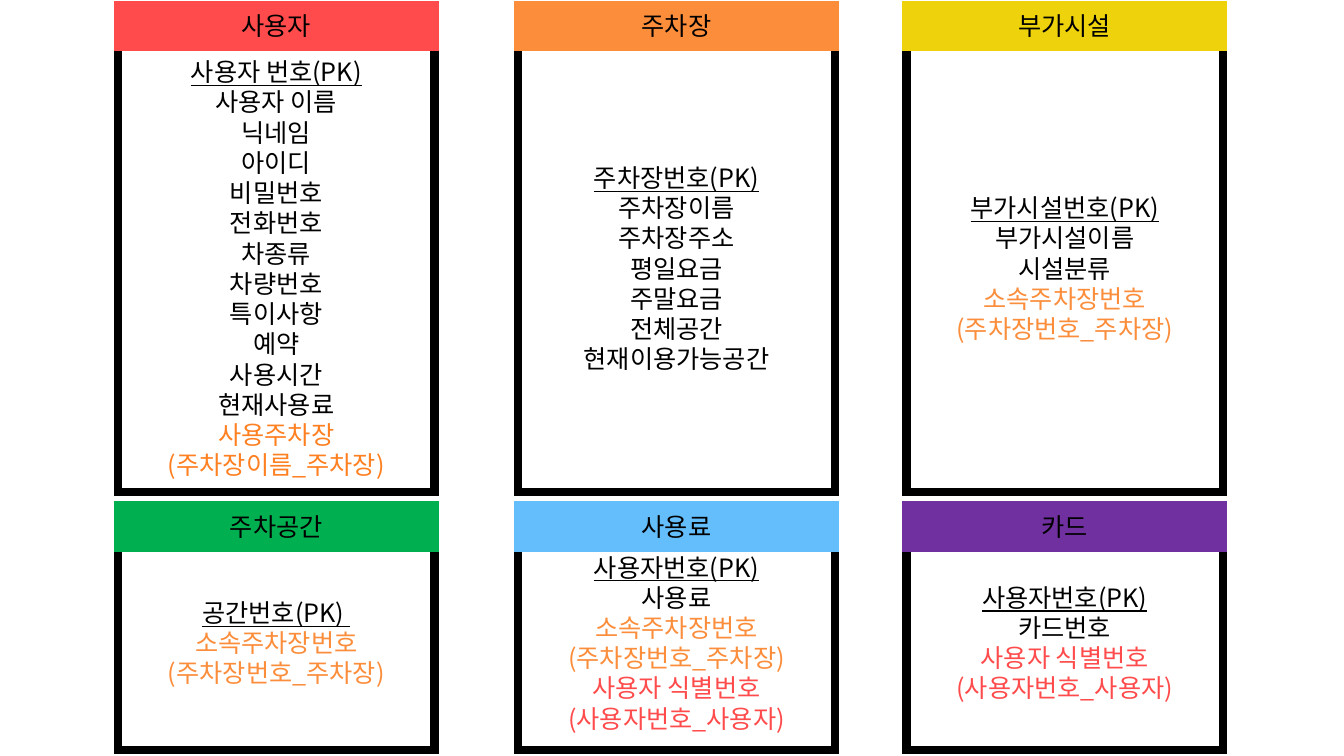
"""Build a slide of six entity tables for a parking database."""
from lxml import etree
from pptx import Presentation
from pptx.dml.color import RGBColor
from pptx.enum.shapes import MSO_SHAPE
from pptx.enum.text import MSO_ANCHOR, PP_ALIGN
from pptx.oxml.ns import qn
from pptx.util import Inches, Pt

RECT = MSO_SHAPE.RECTANGLE
MIDDLE = MSO_ANCHOR.MIDDLE
CENTER = PP_ALIGN.CENTER

BLACK = RGBColor(0x00, 0x00, 0x00)
RED = RGBColor(0xFF, 0x4B, 0x4B)
ORANGE = RGBColor(0xFB, 0x8D, 0x3B)
DEEP_ORANGE = RGBColor(0xFF, 0x80, 0x21)
YELLOW = RGBColor(0xEE, 0xD3, 0x0C)
GREEN = RGBColor(0x00, 0xB0, 0x50)
BLUE = RGBColor(0x64, 0xBE, 0xFC)
PURPLE = RGBColor(0x70, 0x30, 0xA0)

FONT = "Noto Sans CJK KR"
SIZE = 18
BORDER = 6

LOT_KEY = [("소속주차장번호", ORANGE), ("(주차장번호_주차장)", ORANGE)]
USER_KEY = [("사용자 식별번호", RED), ("(사용자번호_사용자)", RED)]

# name, header colour, primary key, attributes, foreign keys
TABLES = [
    [
        ("사용자", RED, "사용자 번호(PK)",
         ["사용자 이름", "닉네임", "아이디", "비밀번호", "전화번호", "차종류",
          "차량번호", "특이사항", "예약", "사용시간", "현재사용료"],
         [("사용주차장", DEEP_ORANGE), ("(주차장이름_주차장)", DEEP_ORANGE)]),
        ("주차장", ORANGE, "주차장번호(PK)",
         ["주차장이름", "주차장주소", "평일요금", "주말요금", "전체공간",
          "현재이용가능공간"], []),
        ("부가시설", YELLOW, "부가시설번호(PK)",
         ["부가시설이름", "시설분류"], LOT_KEY),
    ],
    [
        ("주차공간", GREEN, "공간번호(PK) ", [], LOT_KEY),
        ("사용료", BLUE, "사용자번호(PK)", ["사용료"], LOT_KEY + USER_KEY),
        ("카드", PURPLE, "사용자번호(PK)", ["카드번호"], USER_KEY),
    ],
]

COLUMNS = [1.17, 5.14, 8.99]
WIDTH = 3.14
# header top, header height, body top, body height
ROWS = [(0.05, 0.41, 0.44, 4.44), (5.01, 0.43, 5.31, 2.13)]


def add_line(p, text, color=BLACK, underline=False):
    p.alignment = CENTER
    r = p.add_run()
    r.text = text
    r.font.size = Pt(SIZE)
    r.font.name = FONT
    r.font.color.rgb = color
    r.font.underline = underline
    etree.SubElement(r.font._element, qn("a:ea"), typeface=FONT)


def add_box(group, left, top, height, lines, line_color, fill=None):
    sp = group.shapes.add_shape(
        RECT, Inches(left), Inches(top), Inches(WIDTH), Inches(height))
    sp.shadow.inherit = False
    if fill is None:
        sp.fill.background()
    else:
        sp.fill.solid()
        sp.fill.fore_color.rgb = fill
    sp.line.color.rgb = line_color
    sp.line.width = Pt(BORDER)
    ln = sp._element.spPr.find(qn("a:ln"))
    etree.SubElement(ln, qn("a:miter"), lim="800000")
    tf = sp.text_frame
    tf.word_wrap = True
    tf.vertical_anchor = MIDDLE
    for i, line in enumerate(lines):
        p = tf.add_paragraph() if i else tf.paragraphs[0]
        add_line(p, **line)


def add_table_card(s, left, row, table):
    name, color, key, attributes, foreign = table
    head_top, head_height, body_top, body_height = row
    lines = [dict(text=key, underline=True)]
    lines += [dict(text=text) for text in attributes]
    lines += [dict(text=text, color=c) for text, c in foreign]
    group = s.shapes.add_group_shape()
    add_box(group, left, body_top, body_height, lines, BLACK)
    add_box(group, left, head_top, head_height, [dict(text=name)], color, color)


def main():
    prs = Presentation()
    prs.slide_width, prs.slide_height = Inches(13.33), Inches(7.5)
    s = prs.slides.add_slide(prs.slide_layouts[6])
    for row, tables in zip(ROWS, TABLES):
        for left, table in zip(COLUMNS, tables):
            add_table_card(s, left, row, table)
    prs.save("out.pptx")


if __name__ == "__main__":
    main()
